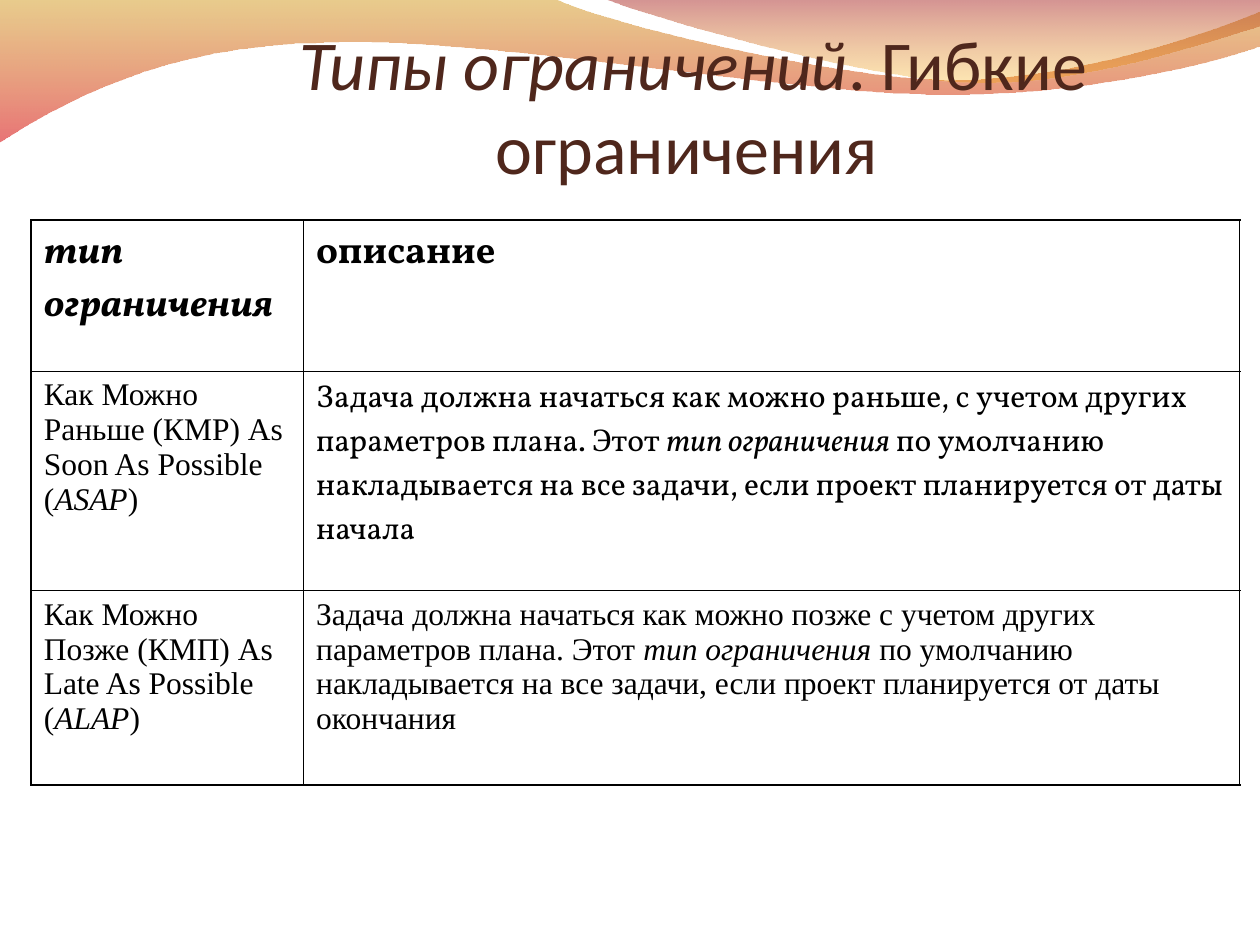
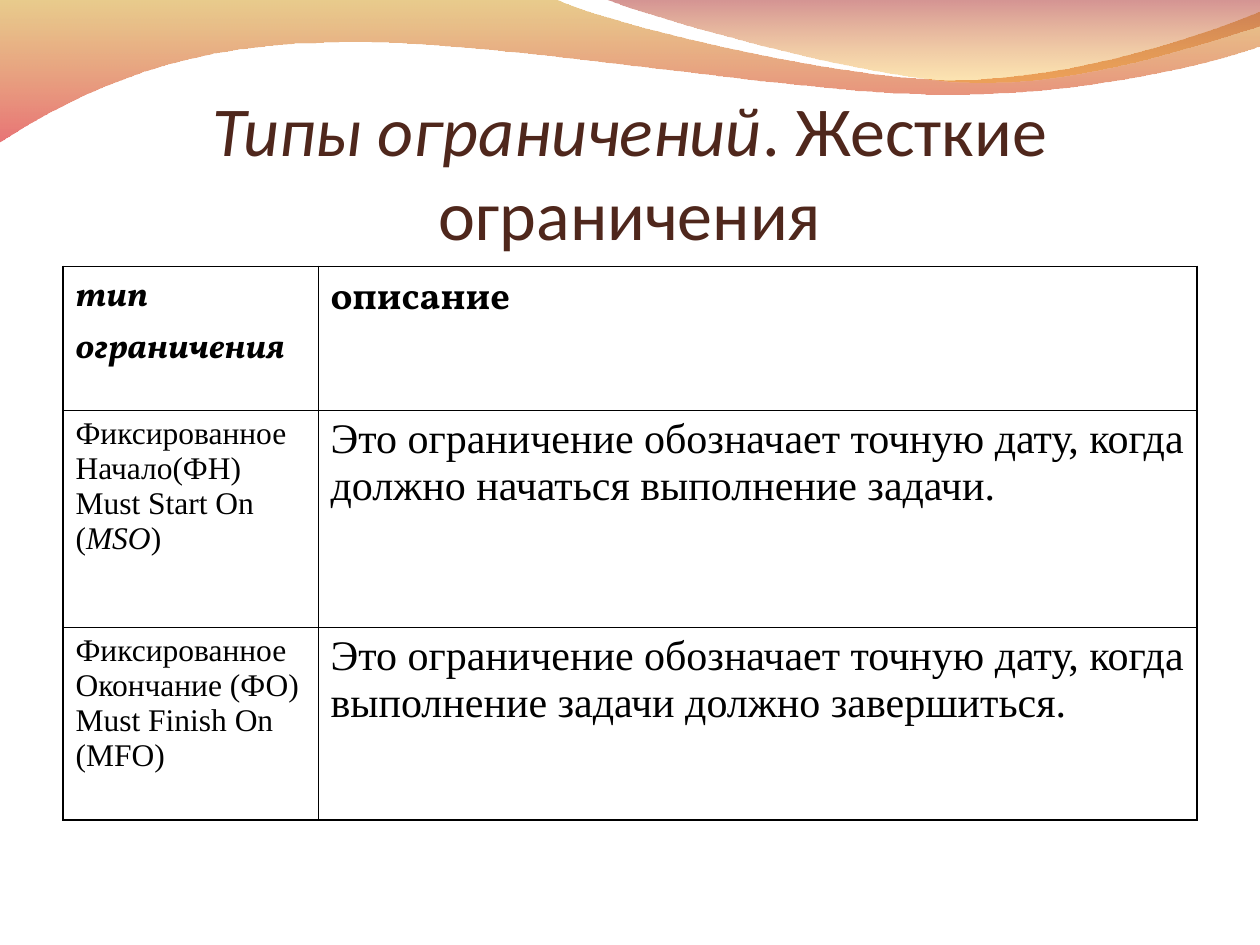
from lxml.etree import SubElement
from pptx import Presentation
from pptx.dml.color import RGBColor
from pptx.enum.text import MSO_ANCHOR as Anchor, MSO_AUTO_SIZE as AutoSize, PP_ALIGN as Align
from pptx.oxml.ns import qn
from pptx.util import Cm, Pt

BLACK = RGBColor(0x00, 0x00, 0x00)
BROWN = RGBColor(0x4F, 0x27, 0x1C)
GOLD = RGBColor(0xCD, 0x8E, 0x00)
SCARLET = RGBColor(0xD6, 0x02, 0x04)
CRIMSON = RGBColor(0x9F, 0x0D, 0x0E)
AMBER = RGBColor(0xFF, 0xB4, 0x00)

TITLE_FONT, SERIF, HEAD_FONT = "Calibri", "Times New Roman", "Vollkorn"
TITLE_ONLY = 5
OUTER, INNER = Pt(1.08), Pt(0.45)
NBSP = chr(160)

BACK_WAVE = [
    [(0, -0.03)],
    [(11.18, -0.03)],
    [(12.09, 0.43), (16.87, 1.6), (19.25, 1.6)],
    [(21.67, 1.6), (24.33, 0.66), (25.4, 0.23)],
    [(25.43, 0.91)],
    [(24.97, 1.12), (22.1, 1.93), (18.95, 1.9)],
    [(15.8, 1.9), (9.7, 0.71), (6.53, 0.86)],
    [(3.28, 0.89), (1.17, 2.11), (-0.03, 2.87)],
    [(0, -0.03)],
]
FRONT_WAVE = [
    [(12.17, -0.03)],
    [(12.93, 0.28), (17.32, 1.57), (19.53, 1.65)],
    [(21.74, 1.75), (24.41, 0.81), (25.4, 0.53)],
    [(25.4, 0)],
    [(12.17, -0.03)],
]


def bend(wave, segments):
    """Join the lines of each three-point segment into one cubic curve."""
    lines = iter(list(wave.element.iter(qn("a:lnTo"))))
    for segment in segments[1:]:
        first, *others = [next(lines) for _ in segment]
        if others:
            first.tag = qn("a:cubicBezTo")
            for line in others:
                first.append(line[0])
                line.getparent().remove(line)


def add_wave(slide, segments, stops):
    """Draw a see-through gradient wave and move it to the slide's layout."""
    start, *rest = [(Cm(x), Cm(y)) for segment in segments for x, y in segment]
    builder = slide.shapes.build_freeform(*start)
    builder.add_line_segments(rest, close=True)
    wave = builder.convert_to_shape()
    bend(wave, segments)
    wave.shadow.inherit = False
    wave.line.fill.background()
    wave.fill.gradient()
    wave.fill.gradient_angle = 270
    for stop, (color, _) in zip(wave.fill.gradient_stops, stops):
        stop.color.rgb = color
    for node, (_, opacity) in zip(wave.element.iter(qn("a:srgbClr")), stops):
        SubElement(node, qn("a:alpha")).set("val", str(opacity * 1000))
    slide.slide_layout.shapes.element.append(wave.element)


def add_span(para, text, font, size, color, bold=False, italic=False):
    """Add one formatted run to a paragraph."""
    span = para.add_run()
    span.text = text
    span.font.name = font
    span.font.size = Pt(size)
    span.font.bold = bold
    span.font.italic = italic
    span.font.color.rgb = color


def write(frame, text, *, font, size, color=BLACK, bold=False, align=Align.LEFT, tail=None):
    """Fill a text frame; asterisks mark italics, tail sizes a closing space."""
    para = frame.paragraphs[0]
    para.alignment = align
    for index, part in enumerate(text.split("*")):
        if part:
            add_span(para, part, font, size, color, bold, index % 2 == 1)
    if tail:
        add_span(para, " ", font, tail, color)


def add_titled_slide(deck, text, left, top, tail=None):
    """Add a slide with its title placed and formatted."""
    slide = deck.slides.add_slide(deck.slide_layouts[TITLE_ONLY])
    title = slide.shapes.title
    title.left, title.top, title.width, title.height = Cm(left), Cm(top), Cm(22.86), Cm(3.18)
    frame = title.text_frame
    frame.auto_size = AutoSize.NONE
    frame.word_wrap = True
    frame.vertical_anchor = Anchor.BOTTOM
    frame.margin_left = frame.margin_right = frame.margin_bottom = 0
    frame.margin_top = Cm(0.13)
    write(frame, text, font=TITLE_FONT, size=40, color=BROWN, align=Align.CENTER, tail=tail)
    return slide


def set_borders(cell, widths):
    """Give a cell black left, right, top and bottom borders."""
    properties = cell._tc.get_or_add_tcPr()
    for side, width in zip("LRTB", widths):
        line = SubElement(properties, qn(f"a:ln{side}"), w=str(width))
        fill = SubElement(line, qn("a:solidFill"))
        SubElement(fill, qn("a:srgbClr"), val=str(BLACK))


def add_limits_table(slide, left, top, widths, heights, rows):
    """Add a grid with a heavier frame from rows of (text, format) cells."""
    shape = slide.shapes.add_table(
        len(heights), len(widths), Cm(left), Cm(top), Cm(sum(widths)), Cm(sum(heights))
    )
    table = shape.table
    table.first_row = table.horz_banding = False
    for column, width in zip(table.columns, widths):
        column.width = Cm(width)
    last_row, last_column = len(heights) - 1, len(widths) - 1
    for r, (height, row) in enumerate(zip(heights, rows)):
        table.rows[r].height = Cm(height)
        for c, (text, style) in enumerate(row):
            cell = table.cell(r, c)
            on_edge = (c == 0, c == last_column, r == 0, r == last_row)
            set_borders(cell, [OUTER if edge else INNER for edge in on_edge])
            cell.fill.background()
            write(cell.text_frame, text, **style)


def main():
    """Build and save the deck."""
    deck = Presentation()
    deck.slide_width, deck.slide_height = Cm(25.4), Cm(19.05)
    heading = dict(font=HEAD_FONT, size=22, bold=True)
    body = dict(font=SERIF, size=18)
    large = dict(font=SERIF, size=24)

    flexible = add_titled_slide(deck, "*Типы ограничений*. Гибкие ограничения", 2.54, 0.63, tail=32)
    add_wave(flexible, BACK_WAVE, [(GOLD, 45), (SCARLET, 55)])
    add_wave(flexible, FRONT_WAVE, [(CRIMSON, 45), (AMBER, 30)])
    add_limits_table(flexible, 0.63, 4.44, [5.49, 18.87], [3.05, 4.42, 3.91], [
        [("*тип ограничения*", heading), ("описание", heading)],
        [("Как Можно Раньше (КМР) As Soon As Possible (*ASAP*)", body),
         ("Задача должна начаться как можно раньше, с учетом других параметров плана. "
          f"Этот{NBSP}*тип ограничения*{NBSP}по умолчанию накладывается на все задачи, "
          "если проект планируется от даты начала", dict(font=HEAD_FONT, size=18))],
        [("Как Можно Позже (КМП) As Late As Possible (*ALAP*)", body),
         ("Задача должна начаться как можно позже с учетом других параметров плана. "
          f"Этот{NBSP}*тип ограничения{NBSP}*по умолчанию накладывается на все задачи, "
          "если проект планируется от даты окончания", body)],
    ])

    rigid = add_titled_slide(deck, "*Типы ограничений*. Жесткие ограничения", 1.27, 1.96)
    add_limits_table(rigid, 1.27, 5.37, [5.14, 17.72], [2.9, 4.37, 3.89], [
        [("*тип ограничения*", {**heading, "size": 20, "tail": 22}), ("описание", heading)],
        [("Фиксированное Начало(ФН) Must Start On (*MSO*)", body),
         ("Это ограничение обозначает точную дату, когда должно начаться выполнение задачи.", large)],
        [("Фиксированное Окончание (ФО) Must Finish On (MFO)", body),
         ("Это ограничение обозначает точную дату, когда выполнение задачи должно завершиться.", large)],
    ])
    deck.save("out.pptx")


if __name__ == "__main__":
    main()
